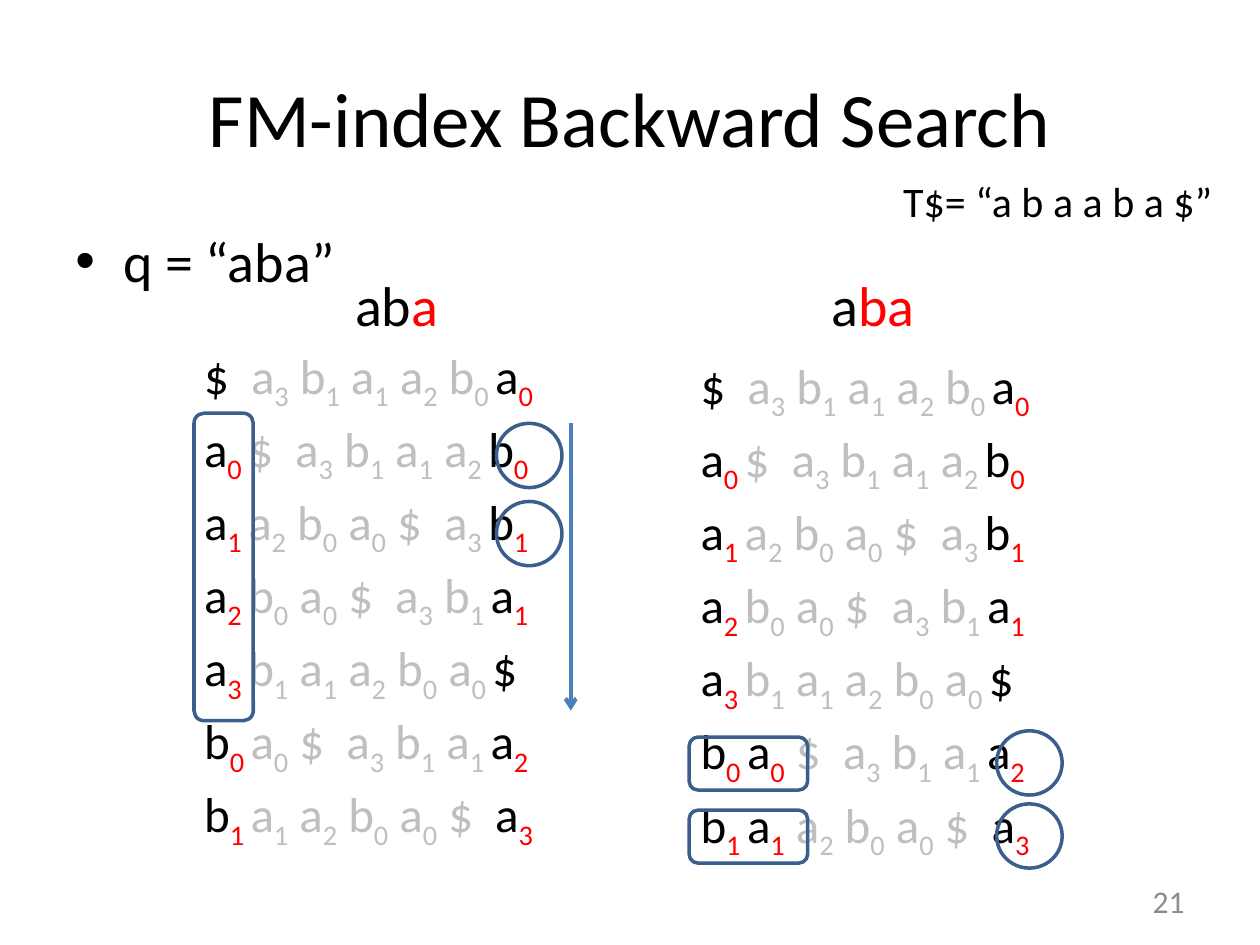
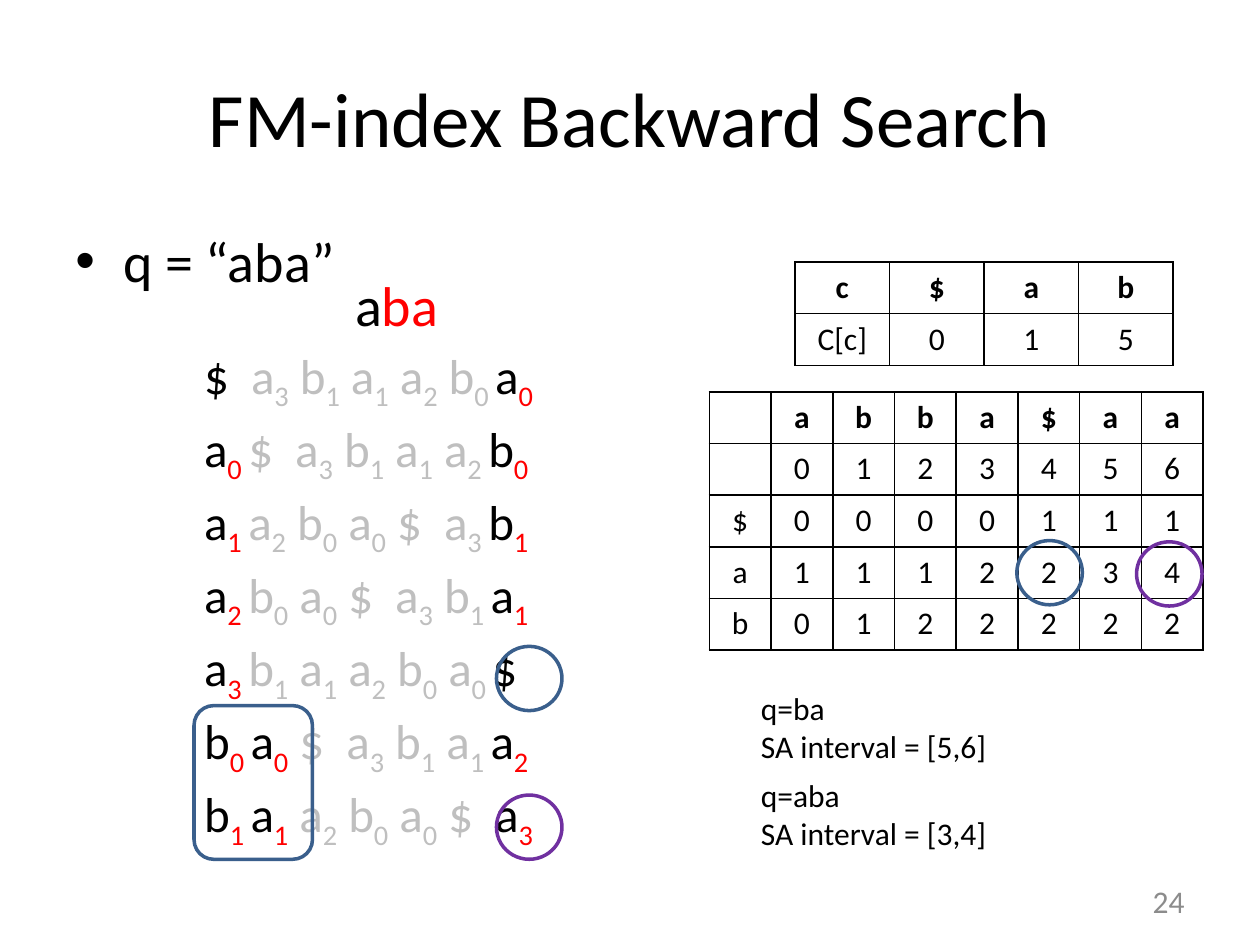
from dataclasses import dataclass

from lxml import etree
from pptx import Presentation
from pptx.dml.color import RGBColor
from pptx.enum.shapes import MSO_CONNECTOR, MSO_SHAPE
from pptx.enum.text import MSO_ANCHOR, PP_ALIGN
from pptx.oxml.ns import qn
from pptx.util import Inches, Pt

LEFT, CENTER, RIGHT = PP_ALIGN.LEFT, PP_ALIGN.CENTER, PP_ALIGN.RIGHT
TOP, MIDDLE = MSO_ANCHOR.TOP, MSO_ANCHOR.MIDDLE
OVAL, ROUNDED = MSO_SHAPE.OVAL, MSO_SHAPE.ROUNDED_RECTANGLE
STRAIGHT = MSO_CONNECTOR.STRAIGHT


@dataclass(frozen=True)
class Theme:
    font: str = "Calibri"
    black: str = "000000"
    white: str = "FFFFFF"
    faded: str = "BFBFBF"
    red: str = "FF0000"
    gray: str = "8C8C8C"
    blue: str = "3A5F8C"
    arrow: str = "4B7EBC"
    purple: str = "7030A0"
    title: int = 44
    body: int = 32
    rotation: int = 28
    text: int = 24
    small: int = 18


theme = Theme()


def write(frame, *lines, size=theme.small, colour=theme.black, bold=False,
          align=LEFT, anchor=TOP, wrap=True, bullet=False):
    """Write lines; a line is a string or a list of (text, colour, baseline)."""
    frame.word_wrap = wrap
    frame.vertical_anchor = anchor
    for number, line in enumerate(lines):
        para = frame.add_paragraph() if number else frame.paragraphs[0]
        para.alignment = align
        if bullet:
            settings = para._p.get_or_add_pPr()
            settings.set("marL", str(Inches(0.38)))
            settings.set("indent", str(-Inches(0.38)))
            etree.SubElement(settings, qn("a:buFont"), typeface="Arial")
            etree.SubElement(settings, qn("a:buChar"), char="•")
        for text, tint, baseline in [(line, colour, 0)] if isinstance(line, str) else line:
            if not text:
                continue
            span = para.add_run()
            span.text = text
            span.font.name = theme.font
            span.font.size = Pt(size)
            span.font.bold = bold
            span.font.color.rgb = RGBColor.from_string(tint)
            if baseline:
                span._r.get_or_add_rPr().set("baseline", str(baseline * 1000))


def add_grid(page, left, top, column_width, row_height, rows, border):
    """Add an unfilled table with even columns and rows, and return it."""
    columns = len(rows[0])
    table = page.shapes.add_table(
        len(rows), columns, Inches(left), Inches(top),
        Inches(column_width * columns), Inches(row_height * len(rows))).table
    table.first_row = table.horz_banding = False
    for column in table.columns:
        column.width = Inches(column_width)
    for row in table.rows:
        row.height = Inches(row_height)
    for cell in table.iter_cells():
        cell.fill.background()
        settings = cell._tc.get_or_add_tcPr()
        for position, side in enumerate(("lnL", "lnR", "lnT", "lnB")):
            edge = etree.Element(qn(f"a:{side}"), w=str(Pt(1)))
            fill = etree.SubElement(edge, qn("a:solidFill"))
            etree.SubElement(fill, qn("a:srgbClr"), val=border)
            settings.insert(position, edge)
    return table


# Sorted rotations of the text, each named by its first symbol
cycle = "$ a3 b1 a1 a2 b0 a0".split()
order = "$ a0 a1 a2 a3 b0 b1".split()
rotations = [cycle[start:] + cycle[:start] for start in map(cycle.index, order)]

one_matched = [("ab", theme.black, 0), ("a", theme.red, 0)]
two_matched = [("a", theme.black, 0), ("ba", theme.red, 0)]
circle = (0.52, 0.51)

# Contents: matrices are (left, top, lit symbols at the start of the b rows)
pages = [
    {
        "number": "21",
        "matrices": [(1.61, 2.73, 1), (5.55, 2.81, 2)],
        "tables": [],
        "labels": [
            (2.72, 2.1, 0.87, 0.64, [one_matched], theme.body),
            (6.5, 2.1, 0.87, 0.64, [two_matched], theme.body),
            (7.07, 1.34, 2.67, 0.5, ["T$= “a b a a b a $”"], theme.text),
        ],
        "marks": [
            (ROUNDED, 1.54, 3.28, 0.47, 2.44, theme.blue),
            (OVAL, 3.94, 3.36, *circle, theme.blue),
            (OVAL, 3.94, 3.98, *circle, theme.blue),
            (ROUNDED, 5.47, 5.85, 0.94, 0.42, theme.blue),
            (ROUNDED, 5.47, 6.43, 0.94, 0.42, theme.blue),
            (OVAL, 7.91, 5.8, *circle, theme.blue),
            (OVAL, 7.91, 6.38, *circle, theme.blue),
        ],
        "arrows": [(4.53, 3.36, 4.53, 5.64)],
    },
    {
        "number": "24",
        "matrices": [(1.61, 2.73, 2)],
        "tables": [
            (6.31, 2.08, 0.75, [["c", "$", "a", "b"], ["C[c]", "0", "1", "5"]]),
            (5.63, 3.11, 0.49, [
                ["", *"abba$aa"],
                ["", *"0123456"],
                ["$", *"0000111"],
                ["a", *"1112234"],
                ["b", *"0122222"],
            ]),
        ],
        "labels": [
            (2.72, 2.1, 0.87, 0.64, [two_matched], theme.body),
            (5.94, 5.42, 2.01, 0.71, ["q=ba", "SA interval = [5,6]"], theme.small),
            (5.94, 6.11, 2.01, 0.71, ["q=aba", "SA interval = [3,4]"], theme.small),
        ],
        "marks": [
            (ROUNDED, 1.54, 5.6, 0.94, 1.22, theme.blue),
            (OVAL, 3.94, 5.13, *circle, theme.blue),
            (OVAL, 8.07, 4.29, *circle, theme.blue),
            (OVAL, 3.94, 6.31, *circle, theme.purple),
            (OVAL, 9.02, 4.3, *circle, theme.purple),
        ],
        "arrows": [],
    },
]

deck = Presentation()
deck.slide_width, deck.slide_height = Inches(10), Inches(7.5)

for content in pages:
    page = deck.slides.add_slide(deck.slide_layouts[6])

    # Title, query, page number and labels
    texts = [
        (0.5, 0.3, 9, 1.25, ["FM-index Backward Search"],
         dict(size=theme.title, align=CENTER, anchor=MIDDLE)),
        (0.5, 1.75, 9, 4.95, ["q = “aba”"], dict(size=theme.body, bullet=True)),
        (7.17, 6.95, 2.33, 0.4, [content["number"]],
         dict(colour=theme.gray, align=RIGHT, anchor=MIDDLE)),
    ]
    texts += [(*label, dict(size=size, wrap=False)) for *label, size in content["labels"]]
    for *place, lines, style in texts:
        box = page.shapes.add_textbox(*map(Inches, place))
        write(box.text_frame, *lines, **style)

    # Rotation matrices: first and last symbols lit, the rest faded
    for left, top, lit_in_b_rows in content["matrices"]:
        matrix = add_grid(page, left, top, 3.15, 0.58, [[row] for row in rotations], theme.white)
        for cell, rotation in zip(matrix.iter_cells(), rotations):
            lit_count = lit_in_b_rows if rotation[0].startswith("b") else 1
            last = len(rotation) - 1
            spans = []
            for index, symbol in enumerate(rotation):
                letter, rank = symbol[0], symbol[1:]
                lit = index < lit_count or index == last
                gap = "" if index == last else " " if rank else "  "
                narrow_gap = index in (0, last - 1)
                letter_colour = theme.black if lit else theme.faded
                rank_colour = theme.red if lit else theme.faded
                if not rank:
                    spans.append((letter + gap, letter_colour, 0))
                elif narrow_gap:
                    spans += [(letter, letter_colour, 0), (rank + gap, rank_colour, -25)]
                else:
                    spans += [(letter, letter_colour, 0), (rank, rank_colour, -25),
                              (gap, letter_colour, 0)]
            cell.margin_left = cell.margin_right = cell.margin_top = Inches(0.01)
            cell.margin_bottom = 0
            cell.vertical_anchor = MIDDLE
            write(cell.text_frame, spans, size=theme.rotation, anchor=None)

    # Count and rank tables with bold header rows
    for left, top, column_width, rows in content["tables"]:
        table = add_grid(page, left, top, column_width, 0.41, rows, theme.black)
        for row_number, row in enumerate(rows):
            for column_number, value in enumerate(row):
                write(table.cell(row_number, column_number).text_frame, value,
                      bold=row_number == 0, align=CENTER, anchor=None)

    # Outlines around the matching symbols
    for kind, *place, colour in content["marks"]:
        mark = page.shapes.add_shape(kind, *map(Inches, place))
        mark.shadow.inherit = False
        mark.fill.background()
        mark.line.color.rgb = RGBColor.from_string(colour)
        mark.line.width = Pt(2)

    # Scan direction
    for ends in content["arrows"]:
        arrow = page.shapes.add_connector(STRAIGHT, *map(Inches, ends))
        arrow.line.color.rgb = RGBColor.from_string(theme.arrow)
        arrow.line.width = Pt(2.25)
        etree.SubElement(arrow.line._get_or_add_ln(), qn("a:tailEnd"), type="arrow")
        etree.SubElement(arrow._element.spPr, qn("a:effectLst"))

deck.save("out.pptx")
